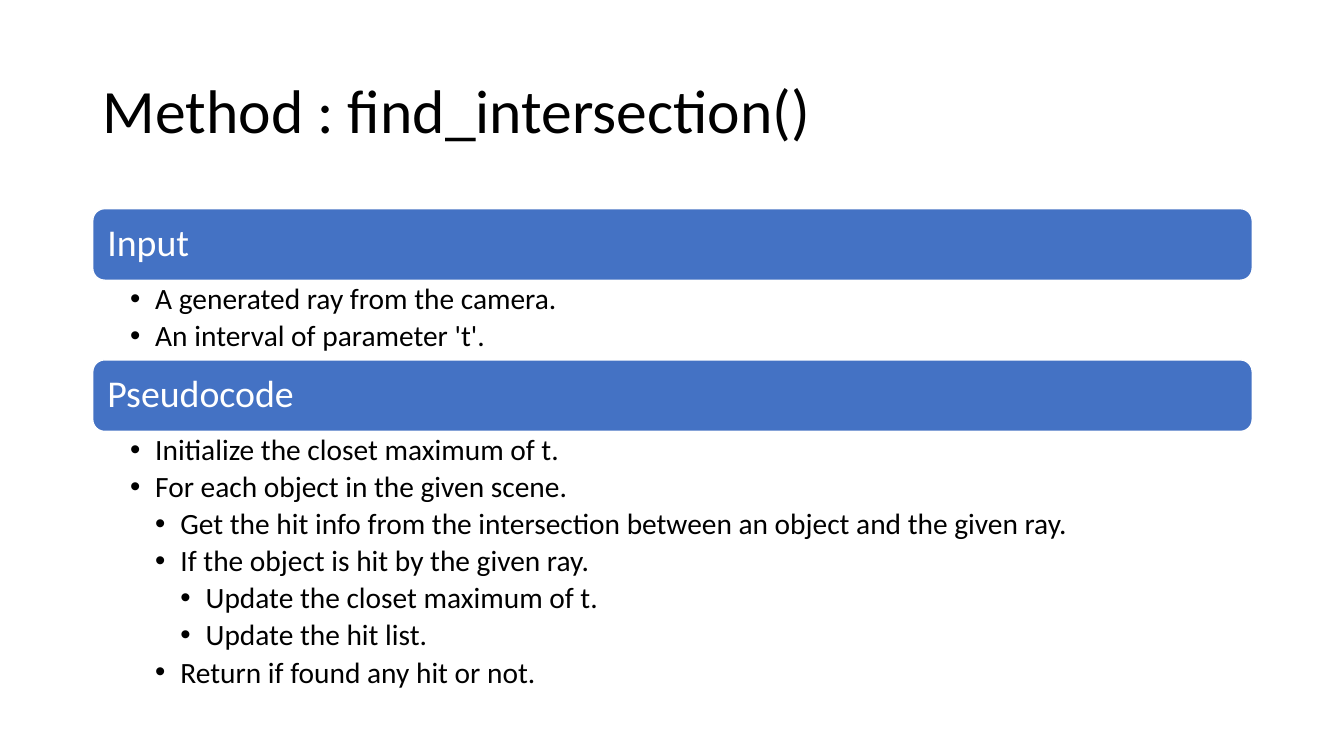
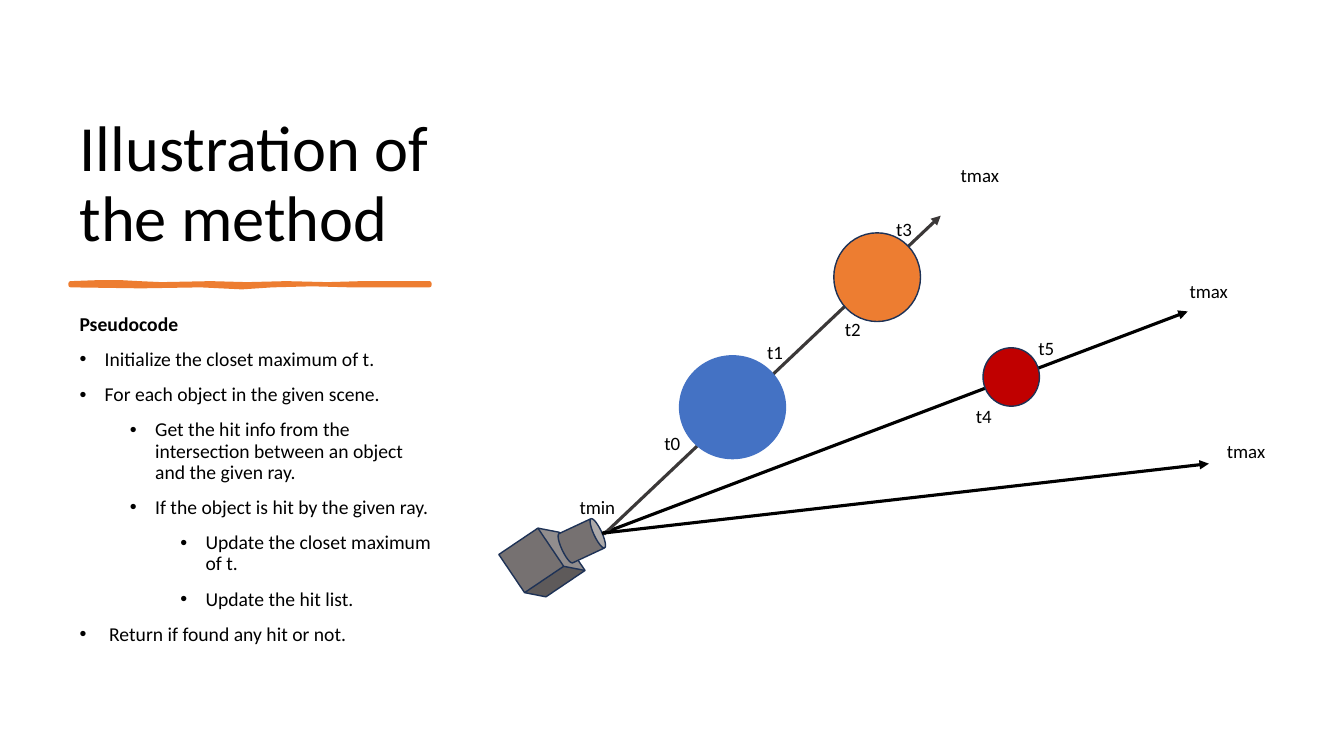
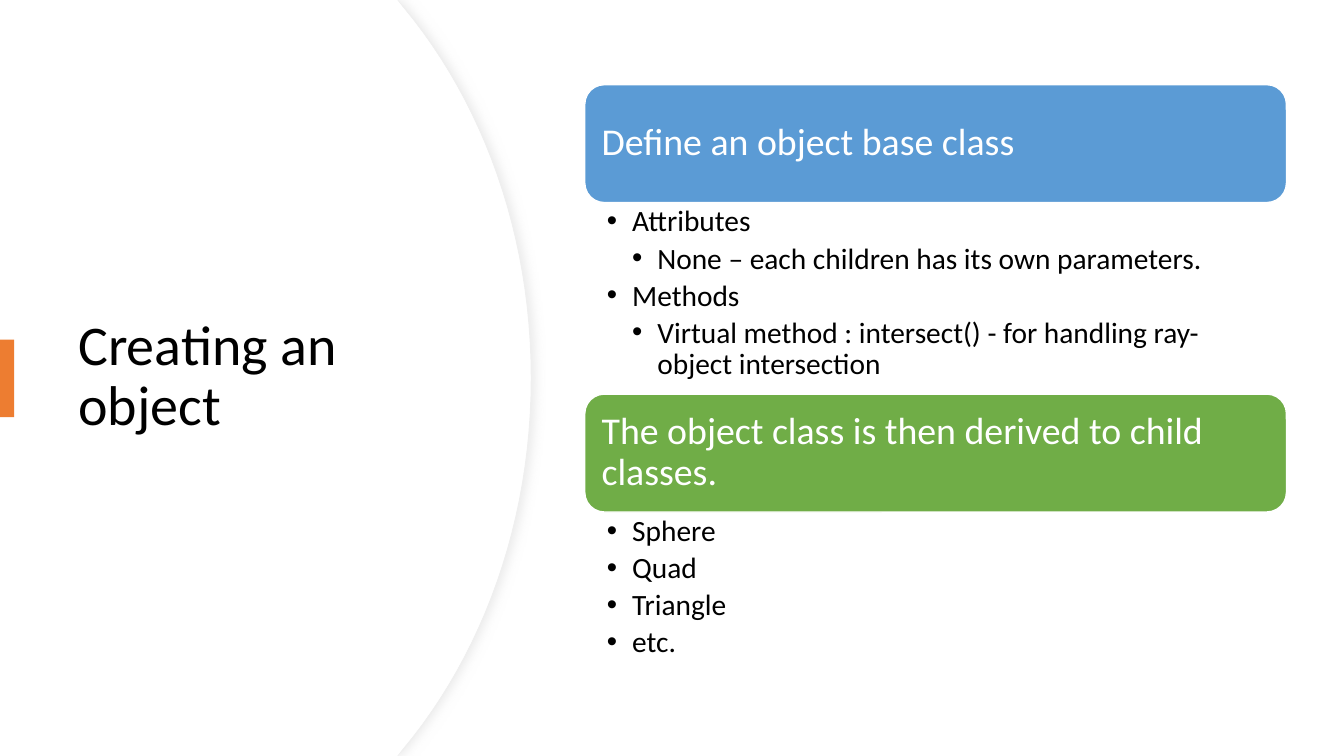
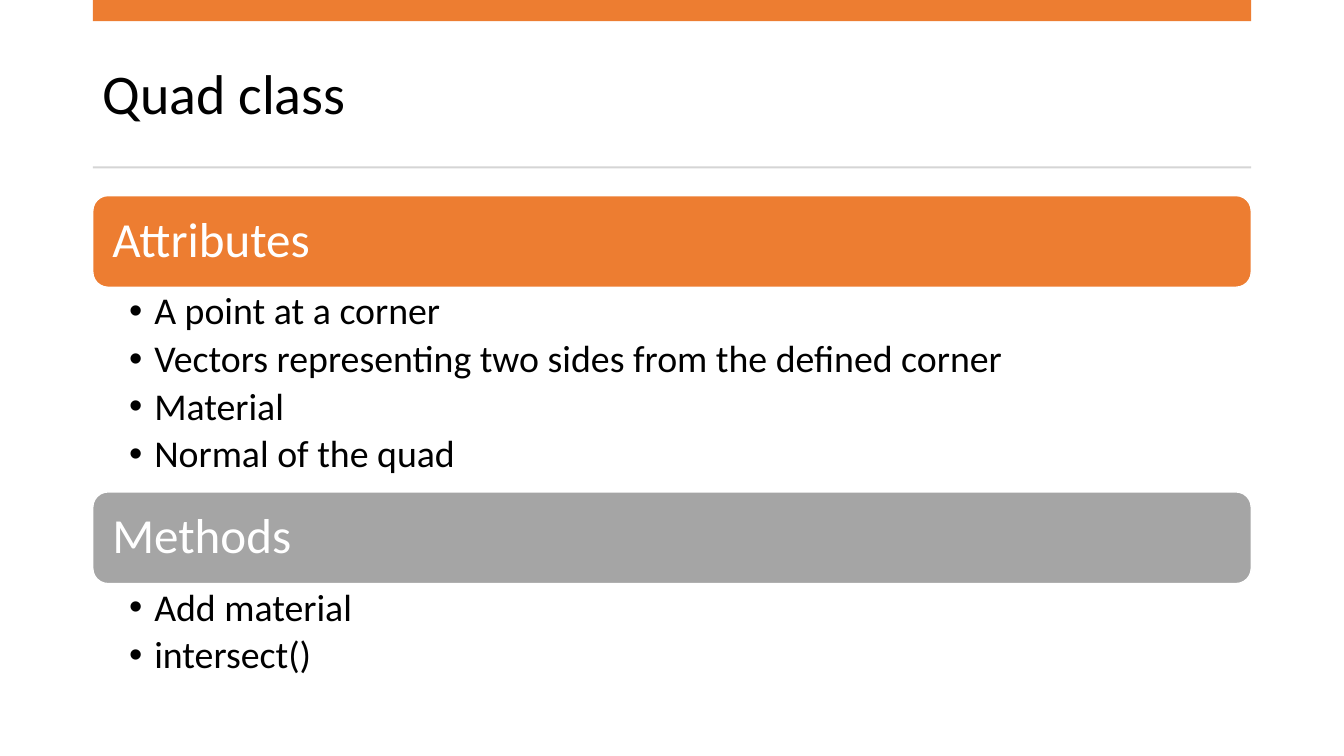
from lxml import etree
from pptx import Presentation, util as u
from pptx.dml.color import RGBColor
from pptx.enum import shapes, text
from pptx.oxml import parse_xml
from pptx.oxml.ns import nsdecls, qn

# Shared look
FONT = "Calibri"
BLACK = RGBColor(0x00, 0x00, 0x00)
WHITE = RGBColor(0xFF, 0xFF, 0xFF)
ORANGE = RGBColor(0xED, 0x7D, 0x31)
BLUE = RGBColor(0x44, 0x72, 0xC4)
SKY = RGBColor(0x5B, 0x9B, 0xD5)
GREEN = RGBColor(0x70, 0xAD, 0x47)
GREY = RGBColor(0xA5, 0xA5, 0xA5)
RED = RGBColor(0xC0, 0x00, 0x00)
STONE = RGBColor(0x76, 0x71, 0x71)
CHARCOAL = RGBColor(0x3B, 0x38, 0x38)
NAVY = RGBColor(0x1E, 0x32, 0x56)
PALE = RGBColor(0xEF, 0xEF, 0xEF)
RULE = RGBColor(0xD5, 0xD5, 0xD5)
WIDTH, HEIGHT = 13.33, 7.5
MARGIN, BODY = 0.92, 11.5
KIND = shapes.MSO_SHAPE
TOP, MIDDLE, BOTTOM = (text.MSO_ANCHOR.TOP, text.MSO_ANCHOR.MIDDLE,
                       text.MSO_ANCHOR.BOTTOM)
PADDING = (0.1, 0.05, 0.1, 0.05)

deck = Presentation()
deck.slide_width, deck.slide_height = u.Inches(WIDTH), u.Inches(HEIGHT)


def write(box, lines, size, color=BLACK, anchor=TOP, padding=PADDING,
          step=0.25, spacing=0.9, before=0, after=0):
    """Fill a box with (level, words) lines; level 0 has no bullet."""
    frame = box.text_frame
    frame.word_wrap, frame.vertical_anchor = True, anchor
    (frame.margin_left, frame.margin_top,
     frame.margin_right, frame.margin_bottom) = map(u.Inches, padding)
    for number, (level, words) in enumerate(lines):
        para = frame.add_paragraph() if number else frame.paragraphs[0]
        para.text, para.alignment = words, text.PP_ALIGN.LEFT
        para.line_spacing = spacing
        para.space_before, para.space_after = u.Pt(before), u.Pt(after)
        para.font.name, para.font.size = FONT, u.Pt(size)
        para.font.color.rgb = color
        if level:
            layout = para._p.get_or_add_pPr()
            layout.set("marL", str(u.Inches(0.25 + step * (level - 1))))
            layout.set("indent", str(u.Inches(-0.25)))
            bullet_font = etree.SubElement(layout, qn("a:buFont"))
            bullet_font.set("typeface", "Arial")
            etree.SubElement(layout, qn("a:buChar")).set("char", "•")
            layout.append(layout.find(qn("a:defRPr")))
    return frame


def paint(shape, fill, line=None, weight=1):
    shape.shadow.inherit = False
    shape.fill.solid()
    shape.fill.fore_color.rgb = fill
    if line is None:
        shape.line.fill.background()
    else:
        shape.line.color.rgb, shape.line.width = line, u.Pt(weight)
    return shape


pages = [deck.slides.add_slide(deck.slide_layouts[6]) for _ in range(4)]
find_page, picture_page, object_page, quad_page = pages

# Slide 2: brush stroke under the title
upper = [(0.7, 2.81), (0.97, 2.8), (1.2, 2.8), (1.38, 2.81), (1.6, 2.82),
         (2.09, 2.81), (2.45, 2.82), (2.84, 2.81), (3.25, 2.82), (3.59, 2.81),
         (4.26, 2.81)]
lower = [(4.26, 2.83), (3.9, 2.83), (3.48, 2.83), (3.1, 2.82), (2.7, 2.83),
         (2.4, 2.85), (1.99, 2.83), (1.4, 2.84), (0.7, 2.83)]

# Slide 3: left panel, its bulging edge a curve mirrored top to bottom
bulge = [(4.01, 0.08), (4.79, 1.02), (5.27, 2.32), (5.27, 3.75)]
half = [(0, 0), (3.94, 0)]
for part in range(25):
    t = part / 24
    weights = ((1 - t) ** 3, 3 * t * (1 - t) ** 2, 3 * t * t * (1 - t), t ** 3)
    half.append(tuple(sum(w * point[axis] for w, point in zip(weights, bulge))
                      for axis in (0, 1)))
panel = half + [(x, HEIGHT - y) for x, y in half[-2::-1]]
inner_panel = [(x - 0.01 if y not in (0, HEIGHT) else x, y) for x, y in panel]

outlines = [
    (picture_page, upper + lower, ORANGE, ORANGE, 3),
    (object_page, panel, WHITE, PALE, 0.75),
    (object_page, inner_panel, WHITE, None, 0),
]
for page, points, fill, line, weight in outlines:
    corners = [(u.Inches(x), u.Inches(y)) for x, y in points]
    builder = page.shapes.build_freeform(*corners[0])
    builder.add_line_segments(corners[1:])
    outline = paint(builder.convert_to_shape(), fill, line, weight)
    if line == PALE:
        effects = outline._element.spPr.find(qn("a:effectLst"))
        effects.append(parse_xml(
            f'<a:outerShdw {nsdecls("a")} blurRad="{u.Pt(7)}" dist="{u.Pt(3)}" '
            'dir="0" algn="l" rotWithShape="0"><a:srgbClr val="D9D9D9">'
            '<a:alpha val="50000"/></a:srgbClr></a:outerShdw>'))

# Titles
titles = [
    (find_page, "Method : find_intersection()", 44, MIDDLE,
     (MARGIN, 0.4, BODY, 1.45)),
    (picture_page, "Illustration of the method", 46, BOTTOM,
     (0.69, 0.7, 3.75, 1.88)),
    (object_page, "Creating an object", 40, MIDDLE, (0.68, 1.27, 3.94, 4.95)),
    (quad_page, "Quad class", 40, MIDDLE, (MARGIN, 0.37, BODY, 1.18)),
]
for page, words, size, anchor, place in titles:
    box = page.shapes.add_textbox(*map(u.Inches, place))
    write(box, [(0, words)], size, anchor=anchor)

# Plain accent bars
bars = [
    (object_page, ORANGE, (0, 3.37, 0.14, 0.77)),
    (quad_page, ORANGE, (MARGIN, 0, BODY - 0.01, 0.21)),
    (quad_page, RULE, (MARGIN, 1.65, BODY - 0.01, 0.02)),
]
for page, fill, place in bars:
    paint(page.shapes.add_shape(KIND.RECTANGLE, *map(u.Inches, place)), fill)

# Slides 1, 3 and 4: stacked headings, each with its list below
pseudocode = [
    (1, "Initialize the closet maximum of t."),
    (1, "For each object in the given scene."),
    (2, "Get the hit info from the intersection between an object and the given ray."),
    (2, "If the object is hit by the given ray."),
    (3, "Update the closet maximum of t."),
    (3, "Update the hit list."),
]
# page, left, top, width, band height, band inset, list padding, sizes, sections
stacks = [
    (find_page, MARGIN, 2.07, BODY, 0.71, 0.11, (0.37, 0.04, 0.21, 0.04), 27, 21, [
        (BLUE, "Input", 0.79, [
            (1, "A generated ray from the camera."),
            (1, "An interval of parameter 't'.")]),
        (BLUE, "Pseudocode", 2.75,
         pseudocode + [(2, "Return if found any hit or not.")])]),
    (object_page, 5.8, 0.84, 6.96, 1.17, 0.11, (0.22, 0.04, 0.21, 0.04), 27, 21, [
        (SKY, "Define an object base class", 1.9, [
            (1, "Attributes"),
            (2, "None – each children has its own parameters."),
            (1, "Methods "),
            (2, "Virtual method : intersect() - for handling ray-object intersection")]),
        (GREEN, "The object class is then derived to child classes.", 1.59, [
            (1, "Sphere"), (1, "Quad"), (1, "Triangle"), (1, "etc.")])]),
    (quad_page, MARGIN, 1.94, BODY - 0.01, 0.91, 0.15, (0.36, 0.05, 0.27, 0.05), 35, 27, [
        (ORANGE, "Attributes", 2.03, [
            (1, "A point at a corner"),
            (1, "Vectors representing two sides from the defined corner"),
            (1, "Material"),
            (1, "Normal of the quad")]),
        (GREY, "Methods", 1.03, [(1, "Add material"), (1, "intersect()")])]),
]
for (page, left, top, width, band_height, inset, padding,
     heading_size, list_size, sections) in stacks:
    for fill, heading, list_height, lines in sections:
        place = map(u.Inches, (left, top, width, band_height))
        band = paint(page.shapes.add_shape(KIND.ROUNDED_RECTANGLE, *place),
                     fill, WHITE)
        write(band, [(0, heading)], heading_size, WHITE, MIDDLE, (inset,) * 4)
        top += band_height
        place = map(u.Inches, (left, top, width, list_height))
        write(page.shapes.add_textbox(*place), lines, list_size,
              padding=padding, after=list_size * 0.18)
        top += list_height

# Slide 2: pseudocode column
box = picture_page.shapes.add_textbox(*map(u.Inches, (0.69, 3.07, 3.75, 3.73)))
steps = [(0, "Pseudocode")] + pseudocode + [(1, " Return if found any hit or not.")]
frame = write(box, steps, 14, step=0.5, before=10)
frame.paragraphs[0].font.bold = True

# Slide 2: camera
for kind, place, turn in [(KIND.CUBE, (5.07, 5.27, 0.61, 0.62), 56),
                          (KIND.CAN, (5.61, 5.15, 0.32, 0.43), 65)]:
    body = picture_page.shapes.add_shape(kind, *map(u.Inches, place))
    paint(body, STONE, NAVY).rotation = turn

# Slide 2: rays leaving the camera
rays = [((5.98, 5.29), (11.78, 3.09), BLACK),
        ((5.99, 5.3), (9.33, 2.14), CHARCOAL),
        ((5.97, 5.29), (11.99, 4.6), BLACK)]
for start, end, color in rays:
    ray = picture_page.shapes.add_connector(
        shapes.MSO_CONNECTOR.STRAIGHT, *map(u.Inches, start + end))
    ray.line.color.rgb, ray.line.width = color, u.Pt(2.25)
    etree.SubElement(ray.line._get_or_add_ln(), qn("a:tailEnd")).set("type", "triangle")
    etree.SubElement(ray._element.spPr, qn("a:effectLst"))

# Slide 2: objects in the scene
for place, fill, line in [((6.74, 3.53, 1.05, 1.02), BLUE, BLUE),
                          ((8.27, 2.31, 0.86, 0.88), ORANGE, NAVY),
                          ((9.75, 3.45, 0.56, 0.58), RED, NAVY)]:
    ball = picture_page.shapes.add_shape(KIND.OVAL, *map(u.Inches, place))
    paint(ball, fill, line)

# Slide 2: parameter labels
labels = [("t0", 6.49, 4.23), ("t1", 7.51, 3.33), ("t2", 8.28, 3.1),
          ("t3", 8.79, 2.11), ("t4", 9.58, 3.97), ("t5", 10.2, 3.29),
          ("tmin", 5.65, 4.87), ("tmax", 9.43, 1.57), ("tmax", 11.7, 2.73),
          ("tmax", 12.07, 4.31)]
for words, left, top in labels:
    box = picture_page.shapes.add_textbox(*map(u.Inches, (left, top, 0.65, 0.3)))
    write(box, [(0, words)], 13.5, spacing=1, after=6)

deck.save("out.pptx")
